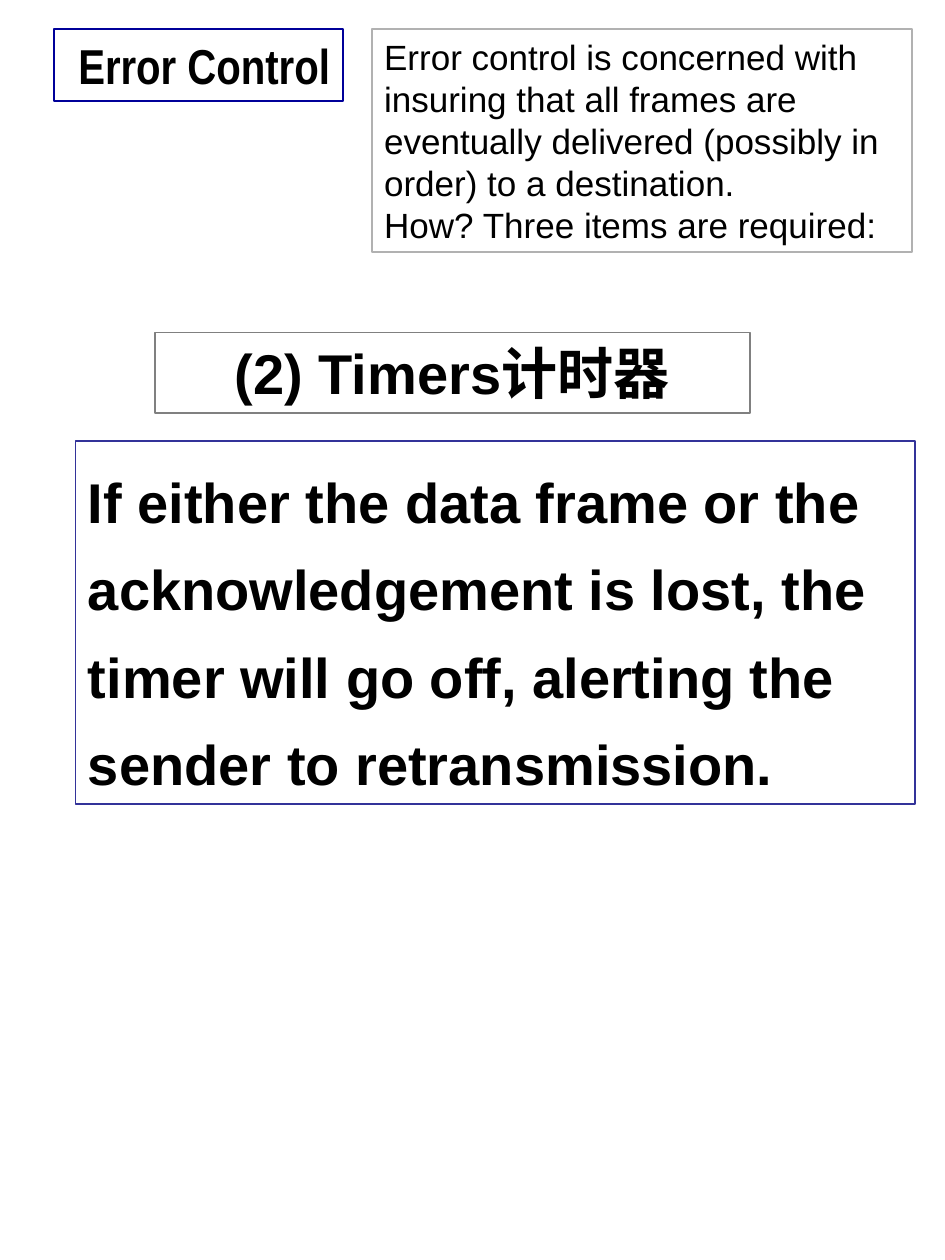
from pptx import Presentation
from pptx.dml.color import RGBColor
from pptx.enum.shapes import MSO_SHAPE
from pptx.enum.text import MSO_ANCHOR, MSO_AUTO_SIZE, PP_ALIGN
from pptx.util import Inches, Pt

COLORS = {
    "text": "000000",
    "title_border": "000099",
    "intro_border": "B1B1B1",
    "topic_border": "808080",
    "body_border": "333399",
}
COLUMNS, ROWS = 75, 100


class SlideBuilder:
    """Places outlined text boxes on a grid of 75 columns by 100 rows."""

    def __init__(self, presentation):
        self.slide = presentation.slides.add_slide(presentation.slide_layouts[5])
        self.column = presentation.slide_width / COLUMNS
        self.row = presentation.slide_height / ROWS

    def area(self, left, top, width, height):
        """Turn columns and rows into slide lengths."""
        return (round(left * self.column), round(top * self.row),
                round(width * self.column), round(height * self.row))

    def title(self, area, text, border, **style):
        shape = self.slide.shapes.title
        shape.left, shape.top, shape.width, shape.height = self.area(*area)
        self.format(shape, [text], border, **style)

    def box(self, area, paragraphs, border, **style):
        shape = self.slide.shapes.add_shape(MSO_SHAPE.RECTANGLE, *self.area(*area))
        shape.shadow.inherit = False
        self.format(shape, paragraphs, border, **style)

    def format(self, shape, paragraphs, border, size, font="Arial", bold=True,
               align=PP_ALIGN.LEFT, spacing=1.0):
        shape.fill.background()
        shape.line.color.rgb = RGBColor.from_string(COLORS[border])
        shape.line.width = Pt(1)
        frame = shape.text_frame
        frame.word_wrap = True
        frame.auto_size = MSO_AUTO_SIZE.NONE
        frame.vertical_anchor = MSO_ANCHOR.TOP
        frame.margin_left = frame.margin_right = Inches(0.1)
        frame.margin_top = frame.margin_bottom = Inches(0.05)
        for index, text in enumerate(paragraphs):
            paragraph = frame.add_paragraph() if index else frame.paragraphs[0]
            paragraph.alignment = align
            paragraph.line_spacing = spacing
            run = paragraph.add_run()
            run.text = text
            run.font.name = font
            run.font.size = Pt(size)
            run.font.bold = bold
            run.font.color.rgb = RGBColor.from_string(COLORS["text"])


def main():
    presentation = Presentation()
    presentation.slide_width = Inches(7.5)
    presentation.slide_height = Inches(10)
    builder = SlideBuilder(presentation)

    builder.title((4.3, 2.3, 22.9, 5.7), "Error Control", "title_border",
                  size=28, font="Arial Narrow", align=PP_ALIGN.RIGHT)
    builder.box((29.5, 2.3, 42.9, 17.7), [
        "Error control is concerned with insuring that all frames are "
        "eventually delivered (possibly in order) to a destination.",
        "How? Three items are required:",
    ], "intro_border", size=20, bold=False)
    builder.box((6, 35, 66.6, 28.8), [
        "If either the data frame or the acknowledgement is lost, the timer "
        "will go off, alerting the sender to retransmission.",
    ], "body_border", size=32, spacing=1.3)
    builder.box((12.3, 26.4, 47.2, 6.4), ["(2) Timers计时器"], "topic_border",
                size=32, align=PP_ALIGN.CENTER)

    presentation.save("out.pptx")


if __name__ == "__main__":
    main()
